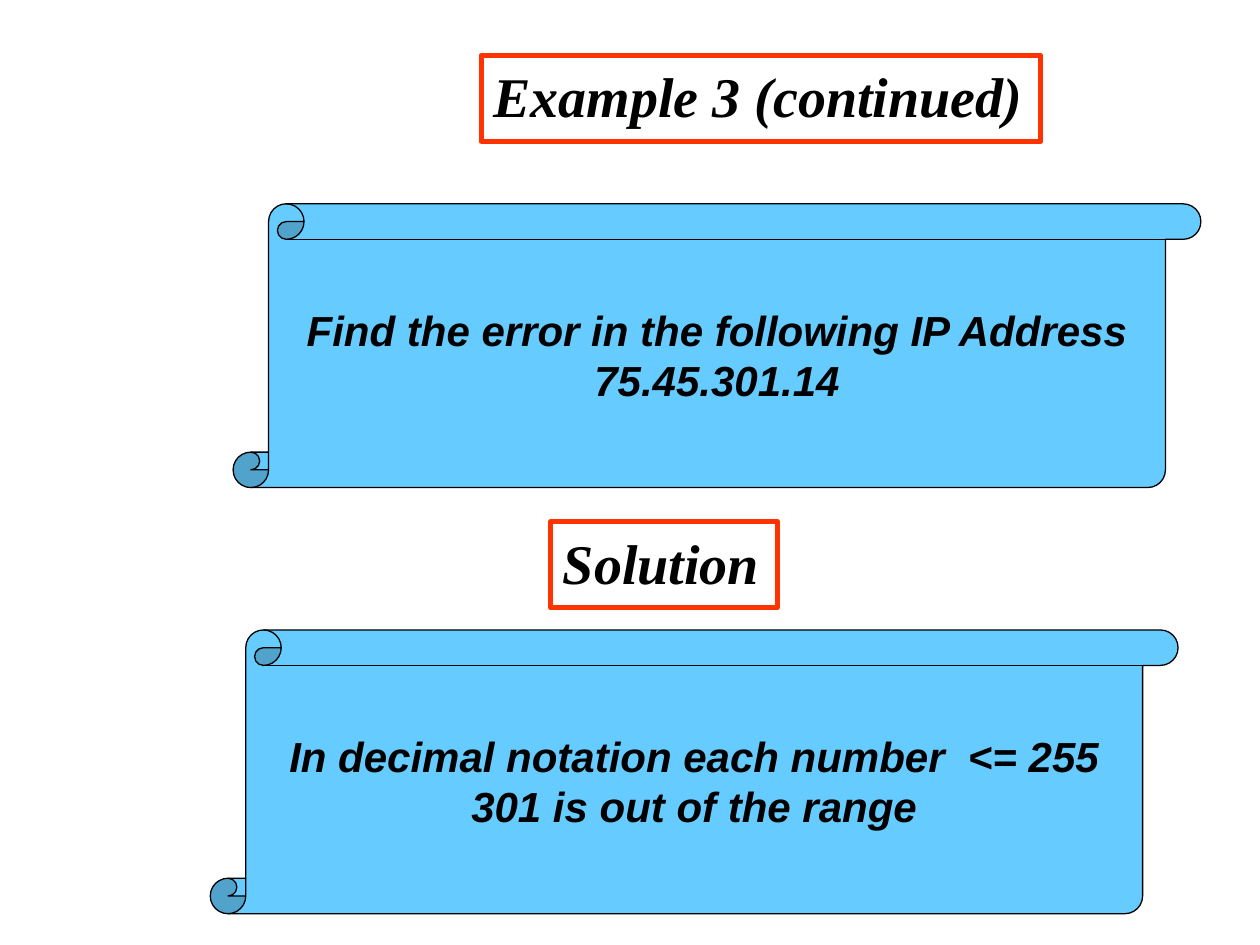
import pptx
import pptx.util
import pptx.dml.color
import pptx.enum.shapes
import pptx.enum.text

Cm = pptx.util.Cm
Pt = pptx.util.Pt
SHAPE = pptx.enum.shapes.MSO_SHAPE
ALIGN = pptx.enum.text.PP_ALIGN
ANCHOR = pptx.enum.text.MSO_ANCHOR
SIZING = pptx.enum.text.MSO_AUTO_SIZE

COLORS = {
    "paper": "FFFFFF",
    "frame": "FF3300",
    "scroll": "66CCFF",
    "ink": "000000",
}


def color(name):
    return pptx.dml.color.RGBColor.from_string(COLORS[name])


def add_shape(slide, kind, box, fill, line, width):
    shape = slide.shapes.add_shape(kind, *[Cm(v) for v in box])
    shape.shadow.inherit = False
    shape.fill.solid()
    shape.fill.fore_color.rgb = color(fill)
    shape.line.color.rgb = color(line)
    shape.line.width = Pt(width)
    return shape


def set_text(shape, text, font, size, align, anchor):
    frame = shape.text_frame
    frame.word_wrap = False
    frame.vertical_anchor = anchor
    frame.text = text
    for para in frame.paragraphs:
        para.alignment = align
        for run in para.runs:
            run.font.name = font
            run.font.size = Pt(size)
            run.font.bold = True
            run.font.italic = True
            run.font.color.rgb = color("ink")


def add_title(slide, text, left, top, width):
    box = (left, top, width, 1.73)
    shape = add_shape(slide, SHAPE.RECTANGLE, box, "paper", "frame", 3)
    set_text(shape, text, "Times New Roman", 32, ALIGN.LEFT, ANCHOR.TOP)
    shape.text_frame.auto_size = SIZING.SHAPE_TO_FIT_TEXT


def add_scroll(slide, lines, left, top):
    box = (left, top, 19.51, 5.72)
    shape = add_shape(slide, SHAPE.VERTICAL_SCROLL, box, "scroll", "ink", 0.75)
    set_text(shape, "\n".join(lines), "Arial", 24, ALIGN.CENTER, ANCHOR.MIDDLE)


def main():
    deck = pptx.Presentation()
    deck.slide_width = Cm(25.4)
    deck.slide_height = Cm(19.05)
    slide = deck.slides.add_slide(deck.slide_layouts[6])

    # Framed headings
    add_title(slide, "Example 3 (continued)", 9.7, 1.12, 11.28)
    add_title(slide, "Solution", 11.1, 10.52, 4.57)

    # Question and answer scrolls
    add_scroll(slide, ["Find the error in the following IP Address",
                       "75.45.301.14"], 4.7, 4.11)
    add_scroll(slide, ["In decimal notation each number  <= 255",
                       "301 is out of the range"], 4.24, 12.7)

    deck.save("out.pptx")


if __name__ == "__main__":
    main()
